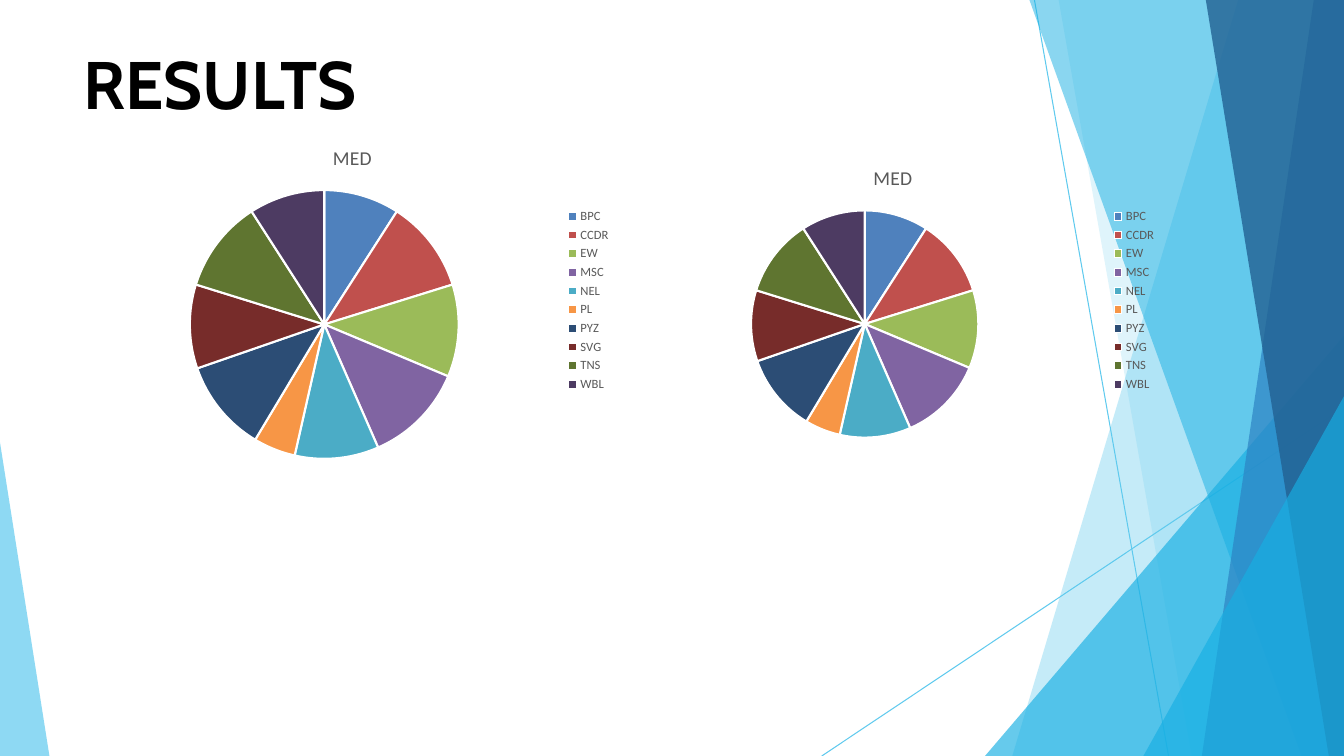
from lxml.etree import SubElement
from pptx import Presentation
from pptx.chart.data import CategoryChartData
from pptx.dml.color import RGBColor
from pptx.enum.chart import XL_CHART_TYPE, XL_LEGEND_POSITION
from pptx.enum.shapes import MSO_CONNECTOR
from pptx.enum.text import MSO_ANCHOR, PP_ALIGN
from pptx.oxml.ns import qn
from pptx.util import Inches, Pt

BLACK = RGBColor(0x00, 0x00, 0x00)
WHITE = RGBColor(0xFF, 0xFF, 0xFF)
GRAY = RGBColor(0x59, 0x59, 0x59)
SKY = RGBColor(0x5F, 0xCA, 0xEE)
CYAN = RGBColor(0x17, 0xAF, 0xE3)
BLUE = RGBColor(0x2D, 0x83, 0xC3)
NAVY = RGBColor(0x22, 0x61, 0x92)

WIDTH, HEIGHT = 13.33, 7.5

# Category, value and slice colour
RESULTS = [
    ("BPC", 9, RGBColor(0x4F, 0x81, 0xBD)),
    ("CCDR", 11, RGBColor(0xC0, 0x50, 0x4D)),
    ("EW", 11, RGBColor(0x9B, 0xBB, 0x59)),
    ("MSC", 12, RGBColor(0x80, 0x64, 0xA2)),
    ("NEL", 10, RGBColor(0x4B, 0xAC, 0xC6)),
    ("PL", 5, RGBColor(0xF7, 0x96, 0x46)),
    ("PYZ", 11, RGBColor(0x2C, 0x4D, 0x75)),
    ("SVG", 10, RGBColor(0x77, 0x2C, 0x2A)),
    ("TNS", 11, RGBColor(0x5F, 0x75, 0x30)),
    ("WBL", 9, RGBColor(0x4D, 0x3B, 0x62)),
]


def right_band(top_left, bottom_left):
    """Corners of a band that fills the slide out to its right edge."""
    return [(WIDTH, 0), (top_left, 0), (bottom_left, HEIGHT), (WIDTH, HEIGHT)]


def right_corner(top, left):
    """Corners of a triangle in the bottom right of the slide."""
    return [(WIDTH, top), (left, HEIGHT), (WIDTH, HEIGHT)]


# Corners, colour and opacity in percent, from back to front
FACETS = [
    (right_band(12.28, 10.04), SKY, 36),
    (right_band(10.5, 11.82), SKY, 20),
    (right_corner(3.33, 9.77), CYAN, 66),
    (right_band(10.21, 12.91), CYAN, 50),
    (right_band(13.03, 11.92), BLUE, 70),
    (right_band(11.96, 13.18), NAVY, 80),
    (right_corner(3.93, 11.34), CYAN, 66),
    ([(0, 4.39), (0, HEIGHT), (0.49, HEIGHT)], SKY, 70),
]


class SlideBuilder:
    heading_font = "Cabin"
    chart_font = "Calibri"

    def __init__(self, slide):
        self.slide = slide

    def style(self, font, name, size, color, bold=False):
        font.name = name
        font.size = Pt(size)
        font.bold = bold
        font.color.rgb = color

    def title(self, text, left, top, width, height):
        shape = self.slide.shapes.title
        shape.left, shape.top = Inches(left), Inches(top)
        shape.width, shape.height = Inches(width), Inches(height)
        frame = shape.text_frame
        frame.margin_left = frame.margin_right = 0
        frame.margin_top = frame.margin_bottom = 0
        frame.vertical_anchor = MSO_ANCHOR.TOP
        paragraph = frame.paragraphs[0]
        paragraph.alignment = PP_ALIGN.LEFT
        run = paragraph.add_run()
        run.text = text
        self.style(run.font, self.heading_font, 48, BLACK, bold=True)

    def line(self, start, end):
        points = [Inches(value) for value in (*start, *end)]
        connector = self.slide.shapes.add_connector(MSO_CONNECTOR.STRAIGHT, *points)
        connector.line.color.rgb = SKY
        connector.line.width = Pt(0.75)
        SubElement(connector._element.spPr, qn("a:effectLst"))

    def facet(self, corners, color, opacity):
        """Add a borderless, partly transparent polygon."""
        start, *others = [(Inches(x), Inches(y)) for x, y in corners]
        builder = self.slide.shapes.build_freeform(*start)
        builder.add_line_segments(others, close=True)
        shape = builder.convert_to_shape()
        shape.shadow.inherit = False
        shape.line.fill.background()
        shape.fill.solid()
        shape.fill.fore_color.rgb = color
        color_element = shape._element.spPr.find(qn("a:solidFill"))[0]
        SubElement(color_element, qn("a:alpha"), val=str(opacity * 1000))

    def pie(self, name, results, left, top, width, height):
        categories, values, colors = zip(*results)
        data = CategoryChartData()
        data.categories = categories
        data.add_series(name, values)
        chart = self.slide.shapes.add_chart(
            XL_CHART_TYPE.PIE, Inches(left), Inches(top),
            Inches(width), Inches(height), data).chart
        self.style(chart.font, self.chart_font, 10, BLACK)

        chart.has_title = True
        run = chart.chart_title.text_frame.paragraphs[0].add_run()
        run.text = name
        self.style(run.font, self.chart_font, 14, GRAY)
        chart.chart_title.include_in_layout = False

        chart.has_legend = True
        chart.legend.position = XL_LEGEND_POSITION.RIGHT
        chart.legend.include_in_layout = False
        self.style(chart.legend.font, self.chart_font, 9, GRAY)

        plot = chart.plots[0]
        plot.vary_by_categories = True
        for index, color in enumerate(colors):
            slice_format = plot.series[0].points[index].format
            slice_format.fill.solid()
            slice_format.fill.fore_color.rgb = color
            slice_format.line.color.rgb = WHITE
            slice_format.line.width = Pt(1.5)


def main():
    presentation = Presentation()
    presentation.slide_width = Inches(WIDTH)
    presentation.slide_height = Inches(HEIGHT)
    title_only = presentation.slide_layouts[5]
    builder = SlideBuilder(presentation.slides.add_slide(title_only))

    builder.line((10.26, 0), (11.59, HEIGHT))
    builder.line((WIDTH, 4.04), (8.15, HEIGHT))
    for corners, color, opacity in FACETS:
        builder.facet(corners, color, opacity)

    builder.title("RESULTS", 0.83, 0.42, 11.68, 0.83)
    builder.pie("MED", RESULTS, 0.83, 1.27, 5.33, 3.42)
    builder.pie("MED", RESULTS, 6.14, 1.48, 5.43, 3)
    presentation.save("out.pptx")


if __name__ == "__main__":
    main()
